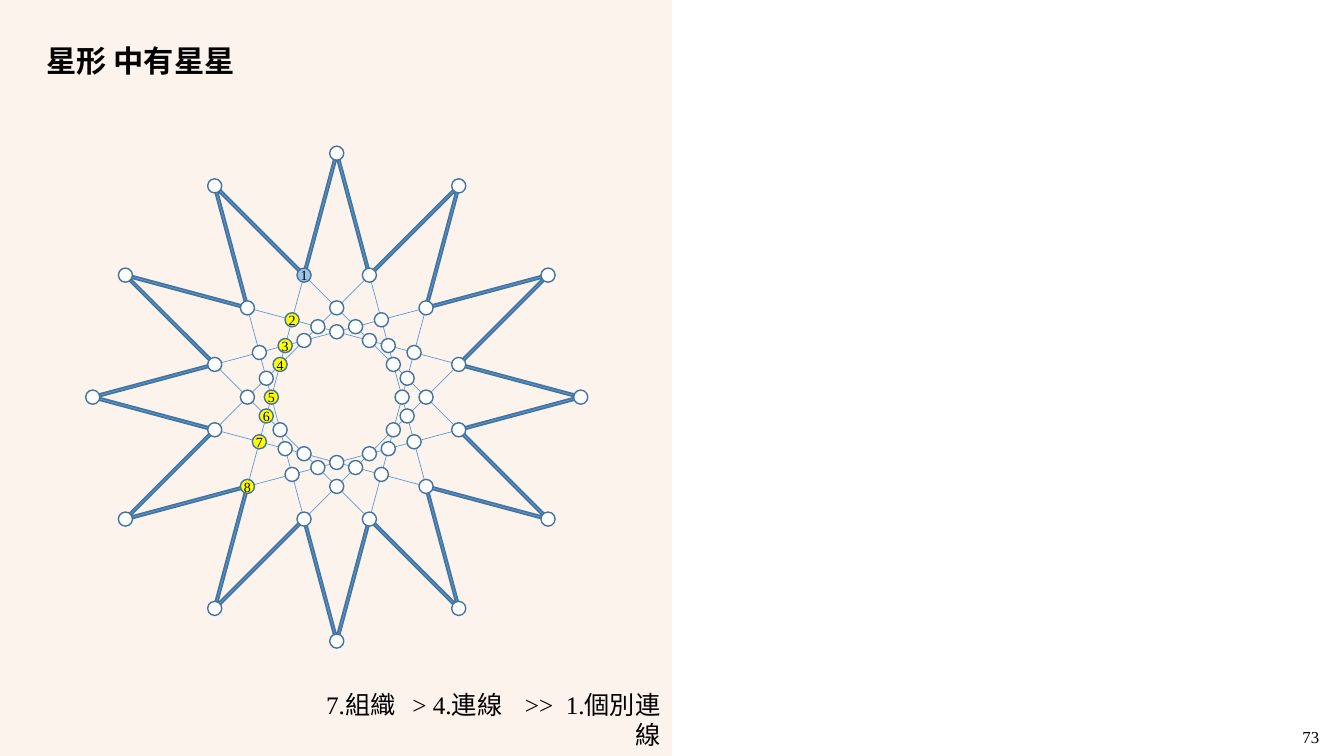
"""Build a slide showing a twelve-point star with its nested crossings."""
from math import cos, radians, sin

from lxml import etree
from pptx import Presentation
from pptx.dml.color import RGBColor
from pptx.enum.shapes import MSO_CONNECTOR, MSO_SHAPE
from pptx.enum.text import MSO_ANCHOR, PP_ALIGN
from pptx.oxml.ns import qn
from pptx.util import Inches, Pt

RECT, OVAL, ROUND = MSO_SHAPE.RECTANGLE, MSO_SHAPE.OVAL, MSO_SHAPE.ROUNDED_RECTANGLE
LINE = MSO_CONNECTOR.STRAIGHT
LEFT, MID, RIGHT = PP_ALIGN.LEFT, PP_ALIGN.CENTER, PP_ALIGN.RIGHT

TITLE = "星形 中有星星"
TRAIL = "7.組織   > 4.連線    >>  1.個別連線"
PAGE = "73"
STEPS = (4, 3, 2, 1, -1, -2, -3, -4)

HUE = {"panel": "F4B183", "rule": "FBE5D6", "edge": "43739E", "chord": "5B9BD5",
       "dot": "FFFFFF", "first": "9DC3E6", "mark": "FFFF00", "ink": "000000"}
SERIF, CJK = "Times New Roman", "Noto Sans CJK SC"

WIDE, HIGH = 13.33, 7.5
HALF = WIDE / 2
CX, CY = 3.34, 3.94
REACH, DOT = 2.42, 0.14
TIPS, SKIP = 12, 5
TURN = 360 / TIPS
CORE = REACH * cos(radians(SKIP * TURN / 2))


def color(key):
    return RGBColor.from_string(HUE[key])


def fade(fill, share):
    hue = fill._xPr.find(".//" + qn("a:srgbClr"))
    etree.SubElement(hue, qn("a:alpha"), val=str(share * 1000))


def spot(ring, angle):
    """Return the crossing on a ring at an angle in degrees."""
    far, turn = CORE / cos(radians(ring * TURN / 2)), radians(angle)
    return CX + far * cos(turn), CY - far * sin(turn)


def write(shape, text, size, font=SERIF, align=LEFT, bold=False, pad=(0.1, 0.05)):
    frame = shape.text_frame
    frame.word_wrap = True
    frame.vertical_anchor = MSO_ANCHOR.MIDDLE
    frame.margin_left = frame.margin_right = Inches(pad[0])
    frame.margin_top = frame.margin_bottom = Inches(pad[1])
    frame.text = text
    para = frame.paragraphs[0]
    para.alignment = align
    run = para.runs[0]
    run.font.name, run.font.size, run.font.bold = font, Pt(size), bold
    run.font.color.rgb = color("ink")
    etree.SubElement(run.font._element, qn("a:ea"), typeface=CJK)
    return para


def draw(shapes, kind, box, fill=None, edge=None):
    shape = shapes.add_shape(kind, *map(Inches, box))
    shape.shadow.inherit = False
    if fill:
        shape.fill.solid()
        shape.fill.fore_color.rgb = color(fill)
    else:
        shape.fill.background()
    if edge:
        shape.line.color.rgb = color(edge)
        shape.line.width = Pt(1)
    else:
        shape.line.fill.background()
    return shape


def join(shapes, start, end, key, width):
    line = shapes.add_connector(LINE, *map(Inches, start + end))
    line.line.color.rgb = color(key)
    line.line.width = Pt(width)
    etree.SubElement(line._element.spPr, qn("a:effectLst"))
    return line


def star(shapes):
    ends = [tuple(map(Inches, spot(SKIP - i % 2, 90 + i * TURN / 2)))
            for i in range(2 * TIPS)]
    path = shapes.build_freeform(*ends[0])
    path.add_line_segments(ends[1:], close=True)
    shape = path.convert_to_shape()
    shape.shadow.inherit = False
    shape.fill.background()
    shape.line.color.rgb = color("edge")
    shape.line.width = Pt(3)


def chords(shapes):
    hop = SKIP * TURN
    for i in range(TIPS):
        join(shapes, spot(SKIP, 90 + i * hop), spot(SKIP, 90 + (i + 1) * hop), "chord", 0.5)


def dots(shapes):
    axis = 90 + SKIP * TURN / 2
    marks = {(abs(j), axis - j * TURN / 2): n for n, j in enumerate(STEPS, 1)}
    for ring in range(1, SKIP + 1):
        shift = 0 if ring % 2 else TURN / 2
        for i in range(TIPS):
            angle = i * TURN + shift
            x, y = spot(ring, angle)
            mark = marks.get((ring, angle))
            fill = "dot" if not mark else "first" if mark == 1 else "mark"
            dot = draw(shapes, OVAL, (x - DOT / 2, y - DOT / 2, DOT, DOT), fill, "edge")
            if mark:
                write(dot, str(mark), 10, align=MID, pad=(0, 0))
                dot.text_frame.word_wrap = False


def main():
    deck = Presentation()
    deck.slide_width, deck.slide_height = Inches(WIDE), Inches(HIGH)
    shapes = deck.slides.add_slide(deck.slide_layouts[6]).shapes
    panel = draw(shapes, RECT, (0, 0, HALF, HIGH), "panel")
    fade(panel.fill, 14)
    rule = join(shapes, (HALF, HIGH), (HALF, 0), "rule", 0.25)
    fade(rule.line.fill, 50)
    star(shapes)
    title = shapes.add_textbox(*map(Inches, (0.36, 0.4, 5.95, 0.44)))
    write(title, TITLE, 21.6, CJK, bold=True).line_spacing = 0.9
    chords(shapes)
    dots(shapes)
    write(draw(shapes, ROUND, (2.88, 6.91, 3.79, 0.45)), TRAIL, 18, align=RIGHT)
    page = shapes.add_textbox(*map(Inches, (12.82, 7.16, 0.37, 0.3)))
    write(page, PAGE, 12)
    page.text_frame.word_wrap = False
    deck.save("out.pptx")


if __name__ == "__main__":
    main()
